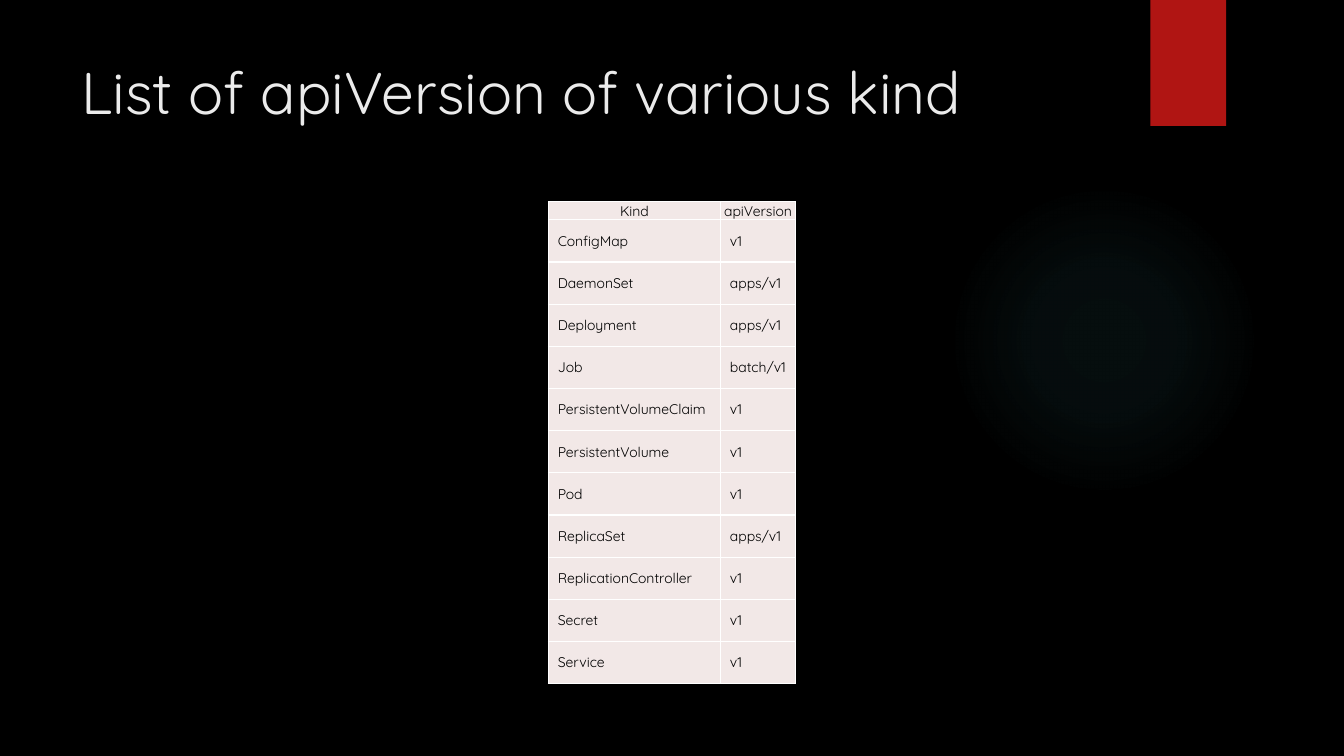
from lxml import etree
from pptx import Presentation
from pptx.dml.color import RGBColor
from pptx.enum.shapes import MSO_SHAPE as Shape
from pptx.enum.text import MSO_ANCHOR as Anchor, PP_ALIGN as Align
from pptx.oxml import parse_xml
from pptx.oxml.ns import nsdecls
from pptx.util import Pt

BLACK = RGBColor(0x00, 0x00, 0x00)
RED = RGBColor(0xB0, 0x15, 0x13)
TITLE_GREY = RGBColor(0xEB, 0xEB, 0xEB)
CELL_PINK = RGBColor(0xF2, 0xE8, 0xE7)
WHITE = RGBColor(0xFF, 0xFF, 0xFF)
TEAL = RGBColor(0x50, 0xB9, 0xC1)
FONT = "Quicksand"

API_VERSIONS = [
    ("Kind", "apiVersion"),
    ("ConfigMap", "v1"),
    ("DaemonSet", "apps/v1"),
    ("Deployment", "apps/v1"),
    ("Job", "batch/v1"),
    ("PersistentVolumeClaim", "v1"),
    ("PersistentVolume", "v1"),
    ("Pod", "v1"),
    ("ReplicaSet", "apps/v1"),
    ("ReplicationController", "v1"),
    ("Secret", "v1"),
    ("Service", "v1"),
]
COLUMN_WIDTHS = (123, 53.5)
HEADER_HEIGHT, ROW_HEIGHT = 13, 30.15


def add_run(paragraph, text, size, color):
    run = paragraph.add_run()
    run.text = text
    run.font.name = FONT
    run.font.size = Pt(size)
    run.font.color.rgb = color


def add_borders(cell):
    """Draw a 1 pt white line on all four sides of the cell."""
    properties = cell._tc.get_or_add_tcPr()
    for index, side in enumerate(("lnL", "lnR", "lnT", "lnB")):
        properties.insert(index, parse_xml(
            f'<a:{side} {nsdecls("a")} w="{Pt(1)}"><a:solidFill>'
            f'<a:srgbClr val="{WHITE}"/></a:solidFill></a:{side}>'))


prs = Presentation()
prs.slide_width, prs.slide_height = Pt(960), Pt(540)
slide = prs.slides.add_slide(prs.slide_layouts[5])
slide.background.fill.solid()
slide.background.fill.fore_color.rgb = BLACK

# Soft glow, fading out from its centre
glow = slide.shapes.add_shape(Shape.OVAL, Pt(677.5), Pt(132), Pt(222), Pt(222))
glow.shadow.inherit = False
glow.line.fill.background()
glow.fill.background()
stops = "".join(
    f'<a:gs pos="{position * 1000}"><a:srgbClr val="{TEAL}">'
    f'<a:alpha val="{alpha * 1000}"/></a:srgbClr></a:gs>'
    for position, alpha in ((0, 7), (36, 6), (69, 0)))
no_fill = glow._element.spPr.find(etree.QName(
    "http://schemas.openxmlformats.org/drawingml/2006/main", "noFill"))
glow._element.spPr.replace(no_fill, parse_xml(
    f'<a:gradFill {nsdecls("a")}><a:gsLst>{stops}</a:gsLst><a:path path="circle">'
    '<a:fillToRect l="50000" t="50000" r="50000" b="50000"/></a:path></a:gradFill>'))

# Red tab at the top edge
tab = slide.shapes.add_shape(Shape.RECTANGLE, Pt(821.8), Pt(0), Pt(54), Pt(90))
tab.shadow.inherit = False
tab.fill.solid()
tab.fill.fore_color.rgb = RED
tab.line.fill.background()

title = slide.shapes.title
title.left, title.top, title.width, title.height = Pt(51), Pt(36), Pt(741), Pt(110)
title.text_frame.vertical_anchor = Anchor.TOP
title.text_frame.word_wrap = True
heading = title.text_frame.paragraphs[0]
heading.alignment = Align.LEFT
add_run(heading, "List of apiVersion of various kind", 42, TITLE_GREY)

# Table of kinds and their API versions
table_height = HEADER_HEIGHT + ROW_HEIGHT * (len(API_VERSIONS) - 1)
versions = slide.shapes.add_table(
    len(API_VERSIONS), len(COLUMN_WIDTHS),
    Pt(391.7), Pt(144), Pt(sum(COLUMN_WIDTHS)), Pt(table_height)).table
versions.horz_banding = False
for column, width in zip(versions.columns, COLUMN_WIDTHS):
    column.width = Pt(width)

for row_index, entry in enumerate(API_VERSIONS):
    is_header = row_index == 0
    versions.rows[row_index].height = Pt(HEADER_HEIGHT if is_header else ROW_HEIGHT)
    for column_index, text in enumerate(entry):
        cell = versions.cell(row_index, column_index)
        cell.vertical_anchor = Anchor.MIDDLE
        cell.margin_left = Pt(0.5 if is_header else 6.75)
        cell.margin_right = Pt(0.5)
        cell.margin_top = Pt(0.5 if is_header else 8.5)
        cell.margin_bottom = Pt(0 if is_header else 8.5)
        cell.fill.solid()
        cell.fill.fore_color.rgb = CELL_PINK
        add_borders(cell)
        paragraph = cell.text_frame.paragraphs[0]
        paragraph.alignment = Align.CENTER if is_header else Align.LEFT
        add_run(paragraph, text, 10, BLACK)
        paragraph.runs[0].font.bold = False

prs.save("out.pptx")
